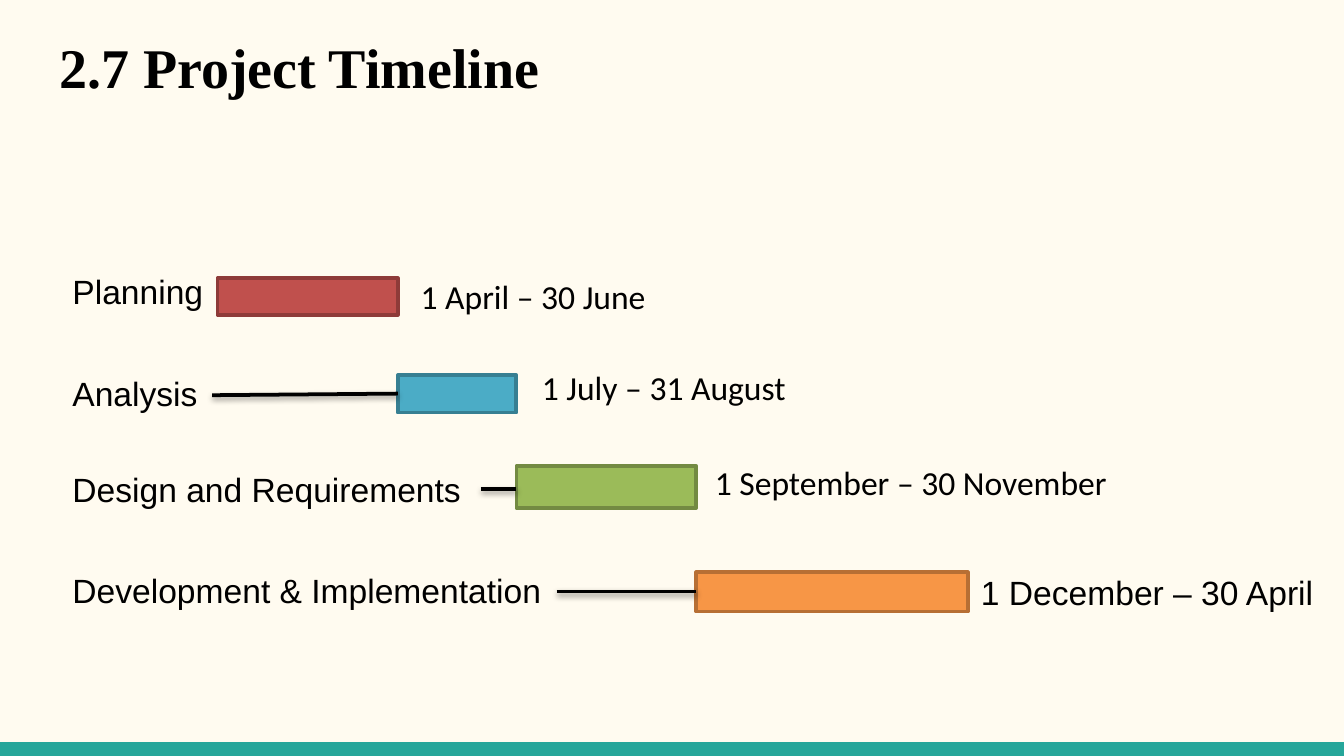
from dataclasses import dataclass
from typing import Optional

from lxml import etree
from pptx import Presentation
from pptx.dml.color import RGBColor
from pptx.enum.shapes import MSO_CONNECTOR, MSO_SHAPE
from pptx.enum.text import MSO_ANCHOR
from pptx.oxml.ns import qn
from pptx.slide import Slide
from pptx.text.text import TextFrame
from pptx.util import Cm, Pt

RECTANGLE = MSO_SHAPE.RECTANGLE
STRAIGHT = MSO_CONNECTOR.STRAIGHT
MIDDLE = MSO_ANCHOR.MIDDLE
TOP = MSO_ANCHOR.TOP

COLOURS = {
    "background": "FFFBF0",
    "footer": "26A69A",
    "text": "000000",
    "red": "C0504D",
    "red edge": "8E3B39",
    "blue": "4BACC6",
    "blue edge": "377F92",
    "green": "9BBB59",
    "green edge": "738A42",
    "orange": "F79646",
    "orange edge": "B76F34",
}

SLIDE_WIDTH, SLIDE_HEIGHT = 25.4, 14.29
MARGIN = 1.12
FIRST_BAR_LEFT = 4.11
LABEL_HEIGHT = 1.02
DATES_HEIGHT = 0.76


@dataclass
class Box:
    left: float
    top: float
    width: float
    height: float


@dataclass
class Leader:
    """Line from the label of a phase to its bar."""
    left: float
    start_y: float
    end_y: float


@dataclass
class Phase:
    label: str
    label_top: float
    label_width: float
    colour: str
    bar_top: float
    bar_width: float
    bar_height: float
    dates: str
    dates_box: Box
    dates_font: str = "Calibri"
    dates_padded: bool = False
    leader: Optional[Leader] = None


PHASES = [
    Phase("Planning", 5.0, 3.0, "red", 5.26, 3.41, 0.69,
          "1 April – 30 June", Box(7.95, 5.21, 5.11, DATES_HEIGHT)),
    Phase("Analysis", 6.93, 2.9, "blue", 7.09, 2.24, 0.71,
          "1 July – 31 August", Box(10.24, 6.93, 7.24, DATES_HEIGHT),
          leader=Leader(4.01, 7.47, 7.44)),
    Phase("Design and Requirements", 8.74, 7.98, "green", 8.81, 3.4, 0.79,
          "1 September – 30 November", Box(13.51, 8.74, 9.04, DATES_HEIGHT),
          leader=Leader(9.09, 9.25, 9.25)),
    Phase("Development & Implementation", 10.64, 10.97, "orange", 10.82, 5.13, 0.74,
          "1 December – 30 April", Box(18.29, 10.69, 6.83, LABEL_HEIGHT),
          dates_font="Arial", dates_padded=True,
          leader=Leader(10.52, 11.18, 11.18)),
]


def rgb(name: str) -> RGBColor:
    return RGBColor.from_string(COLOURS[name])


def add_text(slide: Slide, box: Box, text: str, font: str, size: int = 18,
             bold: bool = False, padded: bool = False) -> TextFrame:
    """Padded text keeps the default insets; other text is centred vertically."""
    frame = slide.shapes.add_textbox(
        Cm(box.left), Cm(box.top), Cm(box.width), Cm(box.height)).text_frame
    frame.word_wrap = True
    frame.vertical_anchor = TOP if padded else MIDDLE
    if not padded:
        frame.margin_left = frame.margin_right = 0
        frame.margin_top = frame.margin_bottom = 0
    frame.text = text
    run_font = frame.paragraphs[0].runs[0].font
    run_font.name = font
    run_font.size = Pt(size)
    run_font.bold = bold
    run_font.color.rgb = rgb("text")
    return frame


def add_bar(slide: Slide, box: Box, colour: str, edge: Optional[str] = None) -> None:
    bar = slide.shapes.add_shape(
        RECTANGLE, Cm(box.left), Cm(box.top), Cm(box.width), Cm(box.height))
    bar.shadow.inherit = False
    bar.fill.solid()
    bar.fill.fore_color.rgb = rgb(colour)
    if edge:
        bar.line.color.rgb = rgb(edge)
        bar.line.width = Pt(2)
    else:
        bar.line.fill.background()


def add_leader(slide: Slide, leader: Leader, bar_left: float) -> None:
    """Draw a line with a soft shadow below it."""
    line = slide.shapes.add_connector(
        STRAIGHT, Cm(leader.left), Cm(leader.start_y), Cm(bar_left), Cm(leader.end_y))
    line.line.color.rgb = rgb("text")
    line.line.width = Pt(2)
    effects = etree.SubElement(line._element.spPr, qn("a:effectLst"))
    shadow = etree.SubElement(
        effects, qn("a:outerShdw"), blurRad=str(Pt(3.1)), dist=str(Pt(1.6)),
        dir="5400000", rotWithShape="0")
    tint = etree.SubElement(shadow, qn("a:srgbClr"), val=COLOURS["text"])
    etree.SubElement(tint, qn("a:alpha"), val="38000")


def add_phase(slide: Slide, phase: Phase, bar_left: float) -> None:
    add_bar(slide, Box(bar_left, phase.bar_top, phase.bar_width, phase.bar_height),
            phase.colour, f"{phase.colour} edge")
    add_text(slide, Box(MARGIN, phase.label_top, phase.label_width, LABEL_HEIGHT),
             phase.label, "Arial", padded=True)
    add_text(slide, phase.dates_box, phase.dates, phase.dates_font,
             padded=phase.dates_padded)
    if phase.leader:
        add_leader(slide, phase.leader, bar_left)


def main() -> None:
    presentation = Presentation()
    presentation.slide_width = Cm(SLIDE_WIDTH)
    presentation.slide_height = Cm(SLIDE_HEIGHT)
    slide = presentation.slides.add_slide(presentation.slide_layouts[6])
    slide.background.fill.solid()
    slide.background.fill.fore_color.rgb = rgb("background")

    add_bar(slide, Box(0, 14.03, SLIDE_WIDTH, 0.26), "footer")
    title = add_text(slide, Box(MARGIN, 0.76, 22.86, 1.14), "2.7 Project Timeline",
                     "Times New Roman", size=30, bold=True)
    title.paragraphs[0].line_spacing = 0.9

    # Each phase starts where the one before it ends.
    bar_left = FIRST_BAR_LEFT
    for phase in PHASES:
        add_phase(slide, phase, bar_left)
        bar_left += phase.bar_width

    presentation.save("out.pptx")


if __name__ == "__main__":
    main()
